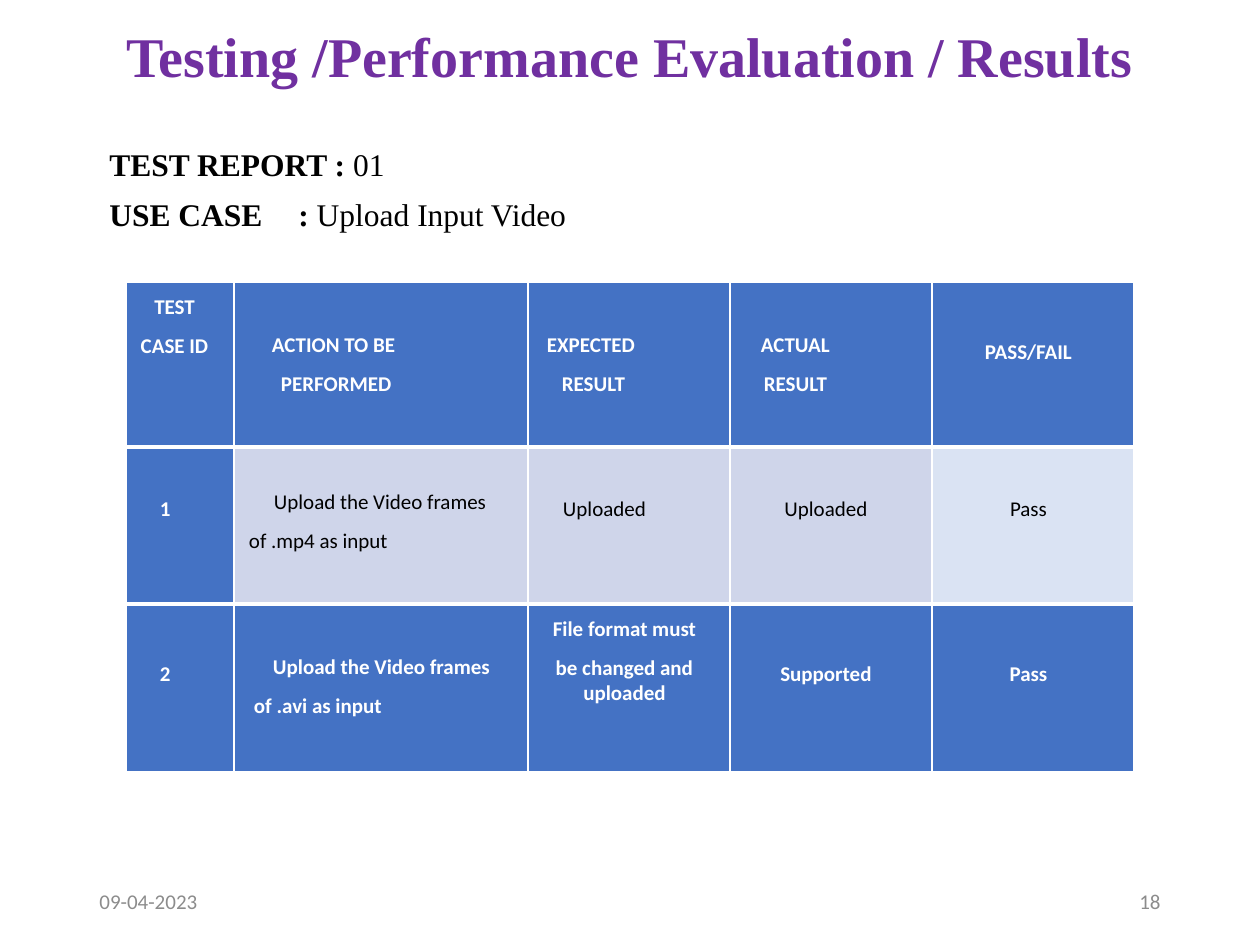
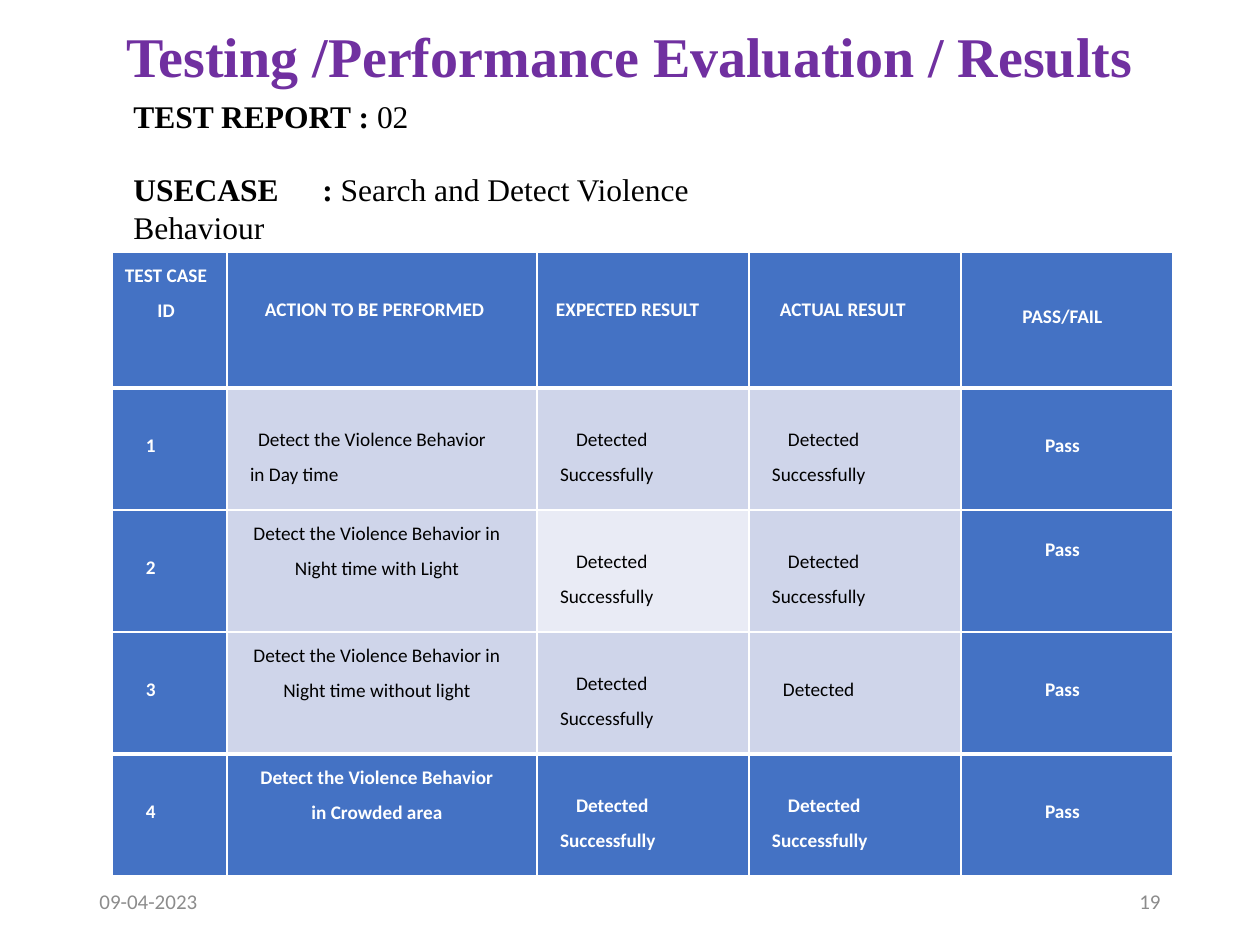
from dataclasses import dataclass, replace

from lxml.etree import SubElement
from pptx import Presentation
from pptx.dml.color import RGBColor
from pptx.enum.text import MSO_ANCHOR as Anchor, PP_ALIGN as Align
from pptx.oxml.ns import qn
from pptx.util import Pt

PX = 914400 / 126


@dataclass(frozen=True)
class Theme:
    heading_font: str = "Times New Roman"
    body_font: str = "Calibri"
    title_color: str = "7030A0"
    footer_color: str = "8C8C8C"
    dark: str = "000000"
    light: str = "FFFFFF"
    solid_fill: str = "4472C4"
    band_fill: str = "CFD5EA"
    pale_fill: str = "E9EBF5"
    pass_fill: str = "DAE3F3"
    title_size: int = 32
    report_size: int = 18
    footer_size: int = 12
    thin_line: int = 1
    thick_line: int = 3


@dataclass(frozen=True)
class Placement:
    top: int = 0
    left: int = 0
    indent: int = 0
    right: int = 0
    align: Align = Align.LEFT
    spacing: float = 1.0


THEME = Theme()
TITLE = "Testing /Performance Evaluation / Results"
DATE = "09-04-2023"

CENTERED = Placement(left=21, right=30, align=Align.CENTER)
CASE_HEAD = Placement(left=11, right=20, align=Align.CENTER, spacing=1.5)
ACTION_HEAD = Placement(left=47, indent=-9, spacing=1.5)
EXPECTED_HEAD = Placement(left=34, indent=-15, spacing=1.5)
ACTUAL_HEAD = Placement(left=34, indent=-3, spacing=1.5)
CASE_NUMBER = Placement(left=34)
DETECTED = Placement(top=28, left=23, indent=16, right=40, spacing=1.5)
NIGHT_ACTION = Placement(left=16, right=26, align=Align.CENTER, spacing=1.5)


def emu(px):
    return round(px * PX)


def style_font(font, name, size, color, bold=False):
    font.name = name
    font.size = Pt(size)
    font.bold = bold
    font.color.rgb = RGBColor.from_string(color)


def set_indent(paragraph, left, first=0):
    properties = paragraph._p.get_or_add_pPr()
    properties.set("marL", str(emu(left)))
    properties.set("indent", str(emu(first)))
    return properties


def add_text_box(slide, left, top, width, height, anchor=Anchor.TOP):
    shape = slide.shapes.add_textbox(*map(emu, (left, top, width, height)))
    shape.text_frame.word_wrap = True
    shape.text_frame.vertical_anchor = anchor
    return shape.text_frame


def add_title(slide):
    text_frame = add_text_box(slide, 87, 23, 1086, 73, Anchor.MIDDLE)
    text_frame.text = TITLE
    paragraph = text_frame.paragraphs[0]
    paragraph.alignment = Align.CENTER
    paragraph.line_spacing = 0.9
    style_font(paragraph.runs[0].font, THEME.heading_font, THEME.title_size,
               THEME.title_color, True)


def add_footer(slide, number):
    for text, left, align in ((DATE, 87, Align.LEFT), (str(number), 890, Align.RIGHT)):
        text_frame = add_text_box(slide, left, 876, 283, 50, Anchor.MIDDLE)
        text_frame.text = text
        paragraph = text_frame.paragraphs[0]
        paragraph.alignment = align
        style_font(paragraph.runs[0].font, THEME.body_font, THEME.footer_size,
                   THEME.footer_color)


def add_report_heading(slide, box, entries, indent, tab, gap):
    text_frame = add_text_box(slide, *box)
    for index, (label, value) in enumerate(entries):
        paragraph = text_frame.add_paragraph() if index else text_frame.paragraphs[0]
        properties = set_indent(paragraph, indent)
        if index:
            paragraph.space_before = Pt(gap)
        tabs = SubElement(properties, qn("a:tabLst"))
        SubElement(tabs, qn("a:tab"), pos=str(emu(tab)), algn="l")
        for text, bold in ((label, True), (value, False)):
            run = paragraph.add_run()
            run.text = text
            style_font(run.font, THEME.heading_font, THEME.report_size, THEME.dark, bold)


def draw_borders(cell, top_width, bottom_width):
    properties = cell._tc.get_or_add_tcPr()
    widths = (("L", THEME.thin_line), ("R", THEME.thin_line),
              ("T", top_width), ("B", bottom_width))
    for side, width in widths:
        line = SubElement(properties, qn(f"a:ln{side}"), w=str(Pt(width)))
        fill = SubElement(line, qn("a:solidFill"))
        SubElement(fill, qn("a:srgbClr"), val=THEME.light)


def fill_cell(cell, text, placement, fill, size):
    solid = fill == THEME.solid_fill
    cell.fill.solid()
    cell.fill.fore_color.rgb = RGBColor.from_string(fill)
    cell.margin_left = cell.margin_bottom = 0
    cell.margin_right = emu(placement.right)
    cell.margin_top = emu(placement.top)
    cell.text_frame.text = text
    for index, paragraph in enumerate(cell.text_frame.paragraphs):
        set_indent(paragraph, placement.left, placement.indent)
        paragraph.alignment = placement.align
        paragraph.line_spacing = 1.0 if index else placement.spacing
        style_font(paragraph.runs[0].font, THEME.body_font, size,
                   THEME.light if solid else THEME.dark, solid)


def add_test_table(slide, left, top, columns, heights, size, rows):
    box = map(emu, (left, top, sum(columns), sum(heights)))
    table = slide.shapes.add_table(len(rows), len(columns), *box).table
    table.first_row = table.horz_banding = False
    for column, width in zip(table.columns, columns):
        column.width = emu(width)
    for row, height in zip(table.rows, heights):
        row.height = emu(height)
    thick_edges = (1, len(rows) - 1)
    for row_index, row in enumerate(rows):
        top_width, bottom_width = (
            THEME.thick_line if edge in thick_edges else THEME.thin_line
            for edge in (row_index, row_index + 1))
        for column_index, (text, placement, *fill) in enumerate(row):
            cell = table.cell(row_index, column_index)
            draw_borders(cell, top_width, bottom_width)
            fill_cell(cell, text, placement, fill[0] if fill else THEME.solid_fill, size)


def add_report_slide(presentation, number):
    slide = presentation.slides.add_slide(presentation.slide_layouts[6])
    add_title(slide)
    add_footer(slide, number)
    return slide


def header_row(line, low, case_right, wrap_right):
    return [
        ("TEST CASE ID", replace(CASE_HEAD, right=case_right)),
        ("ACTION TO BE PERFORMED", replace(ACTION_HEAD, top=line, right=wrap_right)),
        ("EXPECTED RESULT", replace(EXPECTED_HEAD, top=line, right=wrap_right)),
        ("ACTUAL RESULT", replace(ACTUAL_HEAD, top=line, right=wrap_right)),
        ("PASS/FAIL", replace(CENTERED, top=low)),
    ]


def upload_rows():
    band = THEME.band_fill
    actual = Placement(left=13, right=23, align=Align.CENTER)
    return [
        header_row(line=38, low=58, case_right=22, wrap_right=60),
        [
            ("1", replace(CASE_NUMBER, top=50)),
            ("Upload the Video frames of .mp4 as input",
             Placement(top=30, left=15, indent=25, right=30, spacing=1.5), band),
            ("Uploaded", Placement(top=50, left=35), band),
            ("Uploaded", replace(actual, top=50), band),
            ("Pass", replace(CENTERED, top=50), THEME.pass_fill),
        ],
        [
            ("2", replace(CASE_NUMBER, top=58)),
            ("Upload the Video frames of .avi as input",
             Placement(top=38, left=20, indent=19, right=30, spacing=1.5)),
            ("File format must be changed and\nuploaded", replace(CENTERED, spacing=1.5)),
            ("Supported", replace(actual, top=58)),
            ("Pass", replace(CENTERED, top=58)),
        ],
    ]


def detection_rows():
    band, solid = THEME.band_fill, THEME.solid_fill
    success = ("Detected Successfully", DETECTED)
    case_results = [
        (("Detect the Violence Behavior in Day time",
          Placement(top=28, left=23, indent=8, right=45, spacing=1.5), band),
         (*success, band), (*success, band), 46),
        (("Detect the Violence Behavior in Night time with Light", NIGHT_ACTION, band),
         (*success, THEME.pale_fill), (*success, band), 28),
        (("Detect the Violence Behavior in Night time without light", NIGHT_ACTION, band),
         (*success, band), ("Detected", Placement(top=46, left=34), band), 46),
        (("Detect the Violence Behavior in Crowded area",
          replace(NIGHT_ACTION, left=28, right=38), solid),
         success, success, 46),
    ]
    rows = [header_row(line=34, low=53, case_right=18, wrap_right=0)]
    for number, (action, expected, actual, pass_top) in enumerate(case_results, 1):
        rows.append([(str(number), replace(CASE_NUMBER, top=46)), action, expected, actual,
                     ("Pass", replace(CENTERED, top=pass_top))])
    return rows


def main():
    presentation = Presentation()
    presentation.slide_width = emu(1260)
    presentation.slide_height = emu(945)

    slide = add_report_slide(presentation, 18)
    add_report_heading(slide, (87, 139, 630, 102),
                       [("TEST REPORT : ", "01"), ("USE CASE\t: ", "Upload Input Video")],
                       indent=10, tab=165, gap=7)
    add_test_table(slide, 126, 282, [108, 294, 202, 202, 202], [165, 157, 168], 12,
                   upload_rows())

    slide = add_report_slide(presentation, 19)
    add_report_heading(slide, (112, 91, 630, 161),
                       [("TEST REPORT : ", "02"),
                        ("USECASE\t: ", "Search and Detect Violence Behaviour")],
                       indent=9, tab=169, gap=20)
    add_test_table(slide, 112, 252, [115, 310, 212, 212, 212], [136] + [122] * 4, 11,
                   detection_rows())

    presentation.save("out.pptx")


if __name__ == "__main__":
    main()
